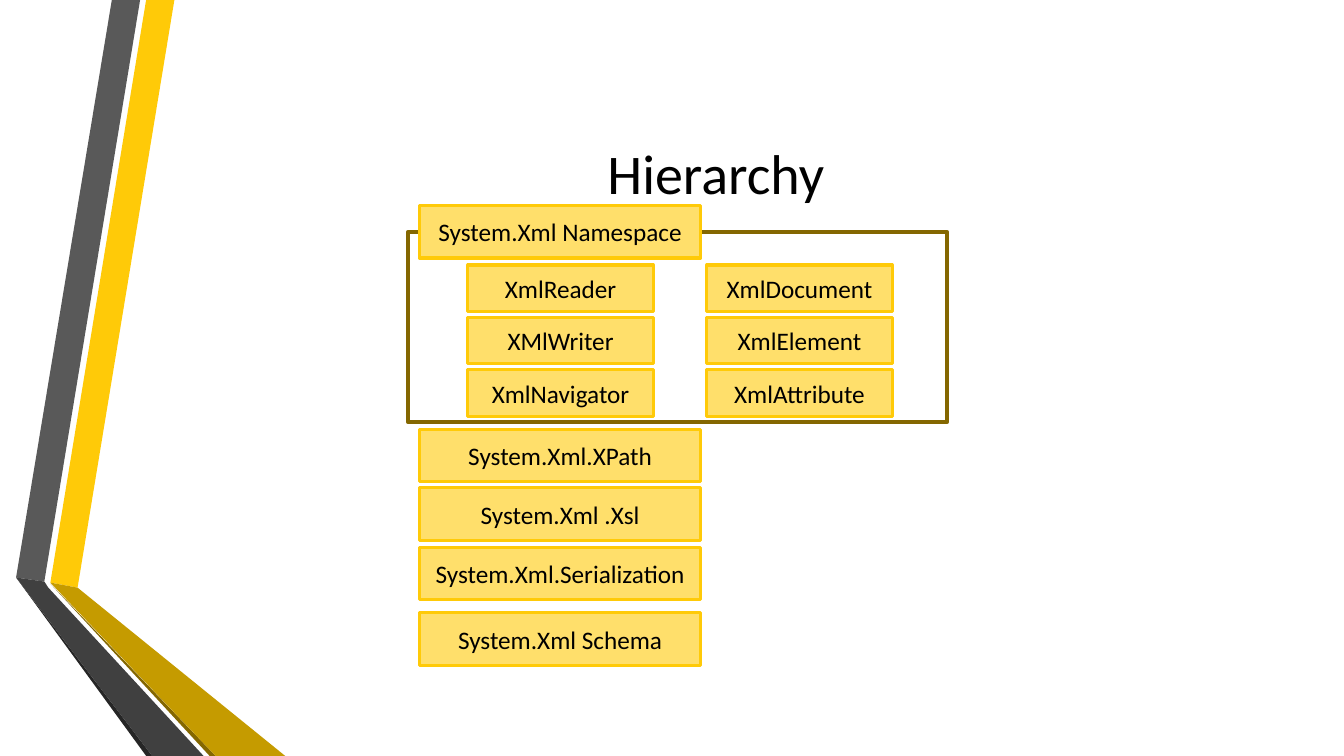
import pptx
import pptx.dml.color
import pptx.enum.shapes
import pptx.enum.text
import pptx.util

Inches = pptx.util.Inches
Pt = pptx.util.Pt
RGBColor = pptx.dml.color.RGBColor
PP_ALIGN = pptx.enum.text.PP_ALIGN
MSO_ANCHOR = pptx.enum.text.MSO_ANCHOR
RECTANGLE = pptx.enum.shapes.MSO_SHAPE.RECTANGLE

BLACK = RGBColor(0x00, 0x00, 0x00)
GOLD = RGBColor(0xFF, 0xCA, 0x08)
PALE_GOLD = RGBColor(0xFF, 0xDF, 0x6B)
DARK_GOLD = RGBColor(0xC5, 0x9B, 0x00)
BROWN = RGBColor(0x84, 0x67, 0x00)
GREY = RGBColor(0x59, 0x59, 0x59)
DARK_GREY = RGBColor(0x40, 0x40, 0x40)
CHARCOAL = RGBColor(0x26, 0x26, 0x26)
FONT = "Calibri"

RIBBONS = [
    (GOLD, [(0.5, 5.78), (0.77, 5.83), (1.73, 0), (1.45, 0)]),
    (GREY, [(1.39, 0), (1.11, 0), (0.16, 5.73), (0.44, 5.77)]),
    (CHARCOAL, [(0.16, 5.73), (1.45, 7.5), (1.51, 7.5)]),
    (BROWN, [(0.5, 5.79), (2.08, 7.5), (2.14, 7.5)]),
    (DARK_GOLD, [(0.5, 5.78), (2.14, 7.5), (2.83, 7.5), (0.77, 5.83)]),
    (DARK_GREY, [(2.02, 7.5), (0.48, 5.83), (0.44, 5.77), (0.16, 5.73), (1.51, 7.5)]),
]
CLASS_COLUMNS = [
    (4.64, ["XmlReader", "XMlWriter", "XmlNavigator"]),
    (7.01, ["XmlDocument", "XmlElement", "XmlAttribute"]),
]
CLASS_TOP = 2.63
CLASS_PITCH = 0.52
NAMESPACES = [
    (2.04, "System.Xml Namespace"),
    (4.26, "System.Xml.XPath"),
    (4.84, "System.Xml .Xsl"),
    (5.43, "System.Xml.Serialization"),
    (6.08, "System.Xml Schema"),
]


def add_ribbon(page, color, points):
    corners = [(Inches(x), Inches(y)) for x, y in points]
    builder = page.shapes.build_freeform(*corners[0])
    builder.add_line_segments(corners[1:], close=True)
    ribbon = builder.convert_to_shape()
    ribbon.shadow.inherit = False
    ribbon.fill.solid()
    ribbon.fill.fore_color.rgb = color
    ribbon.line.fill.background()


def add_rectangle(page, left, top, width, height, line_color, line_width):
    box = page.shapes.add_shape(
        RECTANGLE, Inches(left), Inches(top), Inches(width), Inches(height)
    )
    box.shadow.inherit = False
    box.fill.background()
    box.line.color.rgb = line_color
    box.line.width = Pt(line_width)
    return box


def write_text(shape, text, size):
    frame = shape.text_frame
    frame.vertical_anchor = MSO_ANCHOR.MIDDLE
    para = frame.paragraphs[0]
    para.text = text
    para.alignment = PP_ALIGN.CENTER
    para.font.name = FONT
    para.font.size = Pt(size)
    para.font.color.rgb = BLACK


def add_label(page, text, left, top, width, height):
    box = add_rectangle(page, left, top, width, height, GOLD, 2.25)
    box.fill.solid()
    box.fill.fore_color.rgb = PALE_GOLD
    box.text_frame.word_wrap = False
    write_text(box, text, 18)


def place_title(page, text):
    title = page.shapes.title
    title.left, title.top = Inches(1.62), Inches(0.75)
    title.width, title.height = Inches(10.96), Inches(1.92)
    write_text(title, text, 40)


def main():
    deck = pptx.Presentation()
    deck.slide_width = Inches(13.33)
    deck.slide_height = Inches(7.5)
    page = deck.slides.add_slide(deck.slide_layouts[5])

    for color, points in RIBBONS:
        add_ribbon(page, color, points)
    place_title(page, "Hierarchy")
    add_rectangle(page, 4.05, 2.3, 5.34, 1.89, BROWN, 3)
    for left, names in CLASS_COLUMNS:
        for row, name in enumerate(names):
            add_label(page, name, left, CLASS_TOP + row * CLASS_PITCH, 1.84, 0.46)
    for top, name in NAMESPACES:
        add_label(page, name, 4.16, top, 2.79, 0.52)

    deck.save("out.pptx")


if __name__ == "__main__":
    main()
